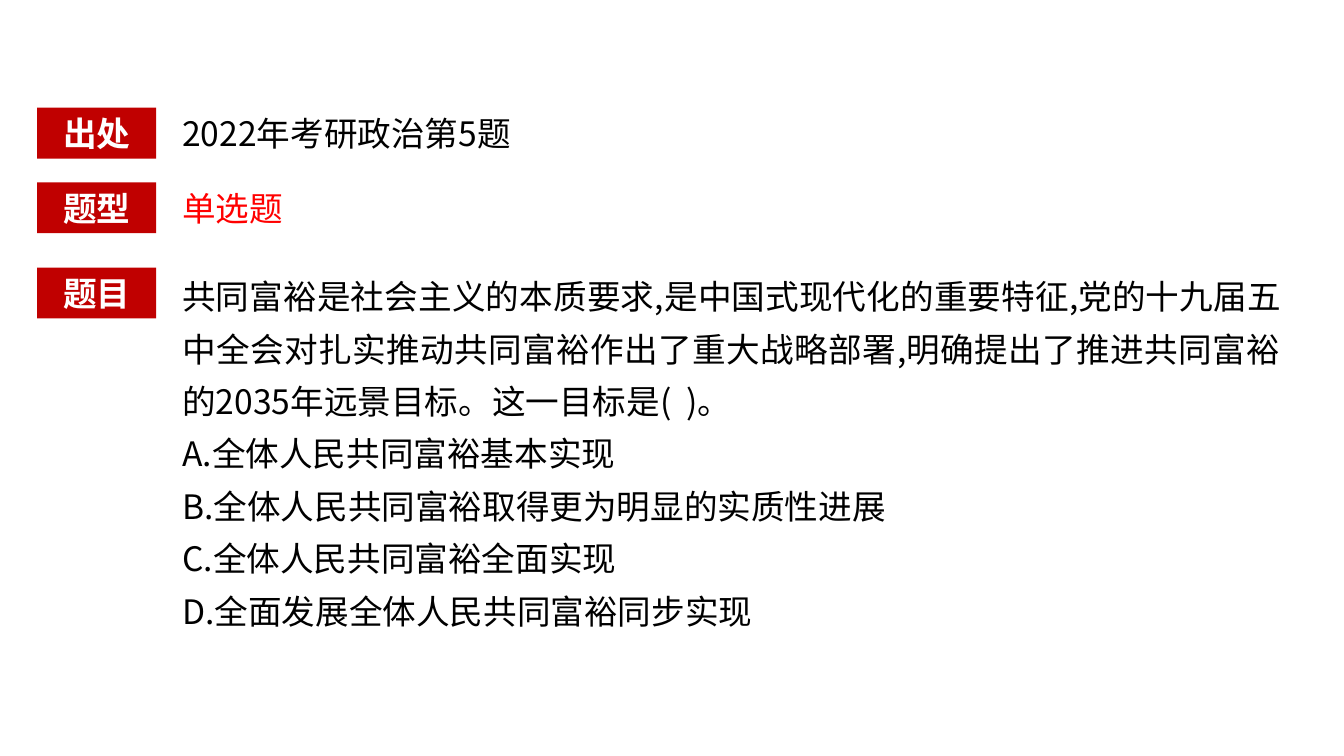
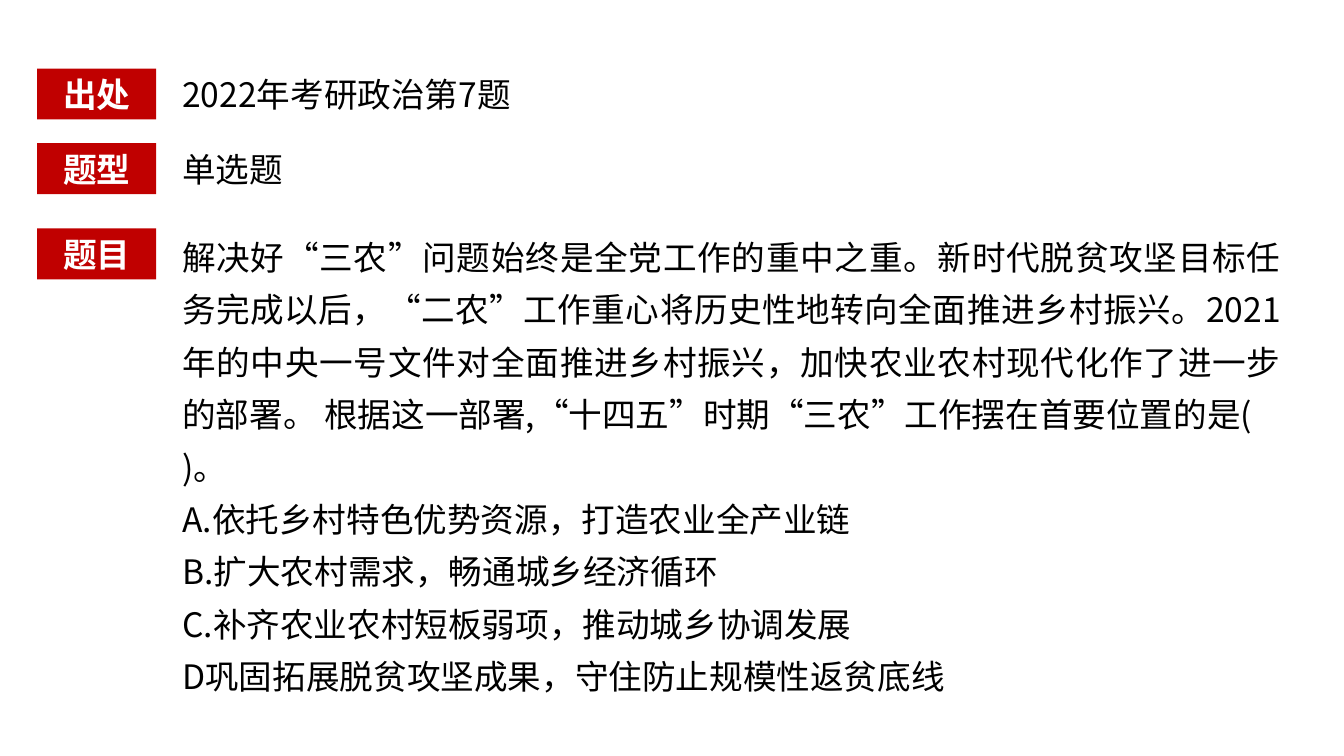
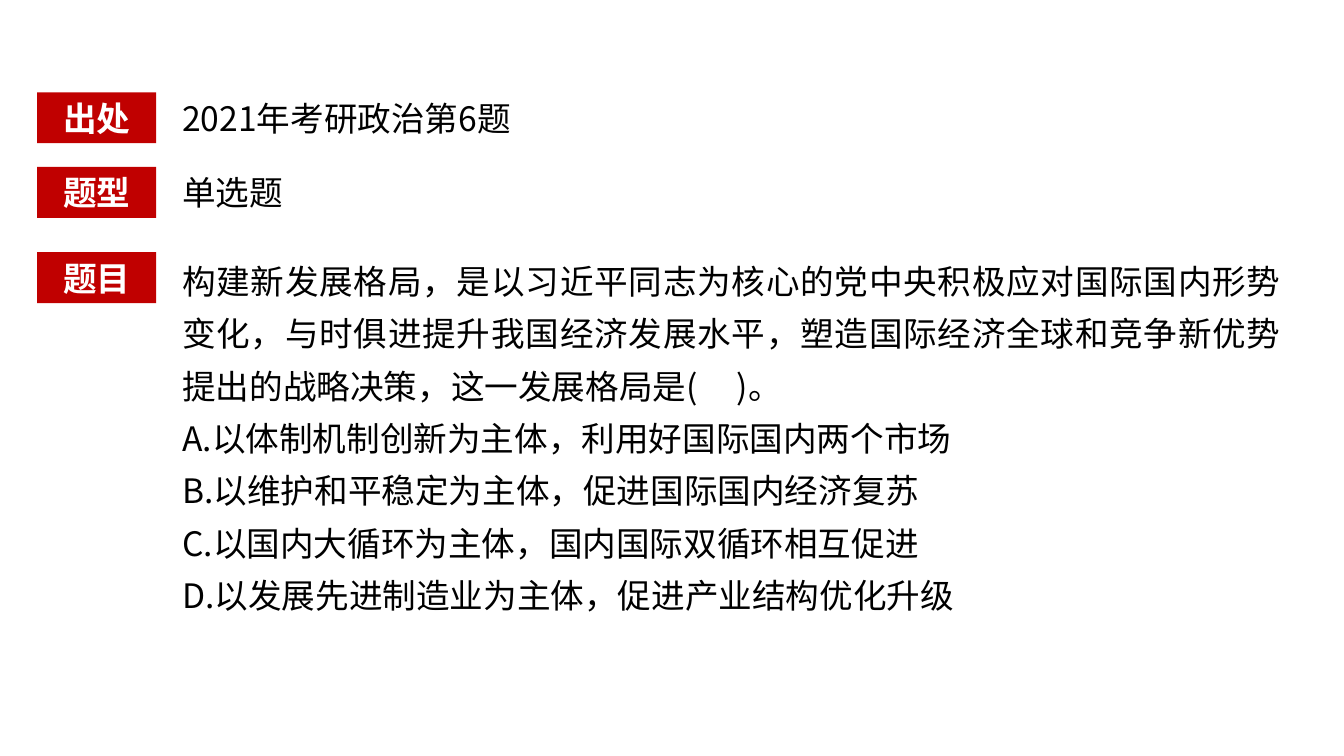
import pptx
import pptx.util
import pptx.dml.color
import pptx.enum.shapes
import pptx.enum.text
import pptx.oxml.ns
import lxml.etree

Pt = pptx.util.Pt
ALIGN = pptx.enum.text.PP_ALIGN
ANCHOR = pptx.enum.text.MSO_ANCHOR

# Shared style
COLORS = {"label": "C00000", "label_text": "FFFFFF", "text": "000000", "accent": "FF0000"}
FONT = "Noto Sans CJK SC"
LABEL_LEFT, LABEL_WIDTH, ROW_HEIGHT = 26.6, 85, 36.35
TEXT_LEFT, SHORT_WIDTH, QUESTION_WIDTH = 123, 652, 799
LABEL_OFFSETS = {"出处": 0, "题型": 53.3, "题目": 114.2}
QUESTION_OFFSET, LINE_HEIGHT, INSETS = 108, 37.4, 7.2


def write_text(box, text, color="text", bold=False, align=ALIGN.LEFT,
               anchor=ANCHOR.MIDDLE, spacing=1.0, tab_stop=None):
    """Fill a shape with one paragraph per line of text."""
    frame = box.text_frame
    frame.word_wrap = True
    frame.auto_size = pptx.enum.text.MSO_AUTO_SIZE.NONE
    frame.vertical_anchor = anchor
    for number, line in enumerate(text.split("\n")):
        para = frame.add_paragraph() if number else frame.paragraphs[0]
        para.alignment = align
        para.line_spacing = spacing
        para.space_before = Pt(0)
        # No bullet and no hanging indent
        settings = para._p.get_or_add_pPr()
        settings.set("marL", "0")
        settings.set("indent", "0")
        lxml.etree.SubElement(settings, pptx.oxml.ns.qn("a:buNone"))
        if tab_stop and "\t" in line:
            tabs = lxml.etree.SubElement(settings, pptx.oxml.ns.qn("a:tabLst"))
            lxml.etree.SubElement(tabs, pptx.oxml.ns.qn("a:tab"),
                                  pos=str(Pt(tab_stop)), algn="l")
        span = para.add_run()
        span.text = line
        span.font.size = Pt(24)
        span.font.bold = bold
        span.font.color.rgb = pptx.dml.color.RGBColor.from_string(COLORS[color])
        span.font.name = FONT
        lxml.etree.SubElement(span._r.get_or_add_rPr(), pptx.oxml.ns.qn("a:ea"),
                              typeface=FONT)


def place(box, left, top, width, height):
    box.left, box.top, box.width, box.height = Pt(left), Pt(top), Pt(width), Pt(height)


# Questions: the tab inside the brackets leaves room for the answer
QUESTIONS = [
    {
        "top": 77, "source": "2022年考研政治第5题", "type_color": "accent",
        "lines": 7, "tab_stop": 494,
        "text": "共同富裕是社会主义的本质要求,是中国式现代化的重要特征,党的十九届五中全会对扎实推动"
                "共同富裕作出了重大战略部署,明确提出了推进共同富裕的2035年远景目标。这一目标是(\t)。\n"
                "A.全体人民共同富裕基本实现\n"
                "B.全体人民共同富裕取得更为明显的实质性进展\n"
                "C.全体人民共同富裕全面实现\n"
                "D.全面发展全体人民共同富裕同步实现",
    },
    {
        "top": 49, "source": "2022年考研政治第7题", "type_color": "text",
        "lines": 9, "tab_stop": 63,
        "text": "解决好“三农”问题始终是全党工作的重中之重。新时代脱贫攻坚目标任务完成以后，“二农”"
                "工作重心将历史性地转向全面推进乡村振兴。2021 年的中央一号文件对全面推进乡村振兴，"
                "加快农业农村现代化作了进一步的部署。 根据这一部署,“十四五”时期“三农”工作摆在首要位置的是(\t)。\n"
                "A.依托乡村特色优势资源，打造农业全产业链\n"
                "B.扩大农村需求，畅通城乡经济循环\n"
                "C.补齐农业农村短板弱项，推动城乡协调发展\n"
                "D巩固拓展脱贫攻坚成果，守住防止规模性返贫底线",
    },
    {
        "top": 66, "source": "2021年考研政治第6题", "type_color": "text",
        "lines": 7, "tab_stop": 442,
        "text": "构建新发展格局，是以习近平同志为核心的党中央积极应对国际国内形势变化，与时俱进提升"
                "我国经济发展水平，塑造国际经济全球和竞争新优势提出的战略决策，这一发展格局是(\t)。\n"
                "A.以体制机制创新为主体，利用好国际国内两个市场\n"
                "B.以维护和平稳定为主体，促进国际国内经济复苏\n"
                "C.以国内大循环为主体，国内国际双循环相互促进\n"
                "D.以发展先进制造业为主体，促进产业结构优化升级",
    },
]

deck = pptx.Presentation()
deck.slide_width, deck.slide_height = Pt(960), Pt(540)

for question in QUESTIONS:
    page = deck.slides.add_slide(deck.slide_layouts[1])
    top = question["top"]

    # Source of the question
    title = page.shapes.title
    place(title, TEXT_LEFT, top, SHORT_WIDTH, ROW_HEIGHT)
    write_text(title, question["source"])

    # Question and its options
    body = page.placeholders[1]
    place(body, TEXT_LEFT, top + QUESTION_OFFSET, QUESTION_WIDTH,
          question["lines"] * LINE_HEIGHT + INSETS)
    write_text(body, question["text"], align=ALIGN.JUSTIFY, anchor=ANCHOR.TOP,
               spacing=1.3, tab_stop=question["tab_stop"])

    # Question type
    kind = page.shapes.add_textbox(Pt(TEXT_LEFT), Pt(top + LABEL_OFFSETS["题型"]),
                                   Pt(SHORT_WIDTH), Pt(ROW_HEIGHT))
    write_text(kind, "单选题", color=question["type_color"])

    # Red labels
    for name, offset in LABEL_OFFSETS.items():
        label = page.shapes.add_shape(pptx.enum.shapes.MSO_SHAPE.RECTANGLE,
                                      Pt(LABEL_LEFT), Pt(top + offset),
                                      Pt(LABEL_WIDTH), Pt(ROW_HEIGHT))
        label.shadow.inherit = False
        label.fill.solid()
        label.fill.fore_color.rgb = pptx.dml.color.RGBColor.from_string(COLORS["label"])
        label.line.fill.background()
        write_text(label, name, color="label_text", bold=True, align=ALIGN.CENTER)

deck.save("out.pptx")
